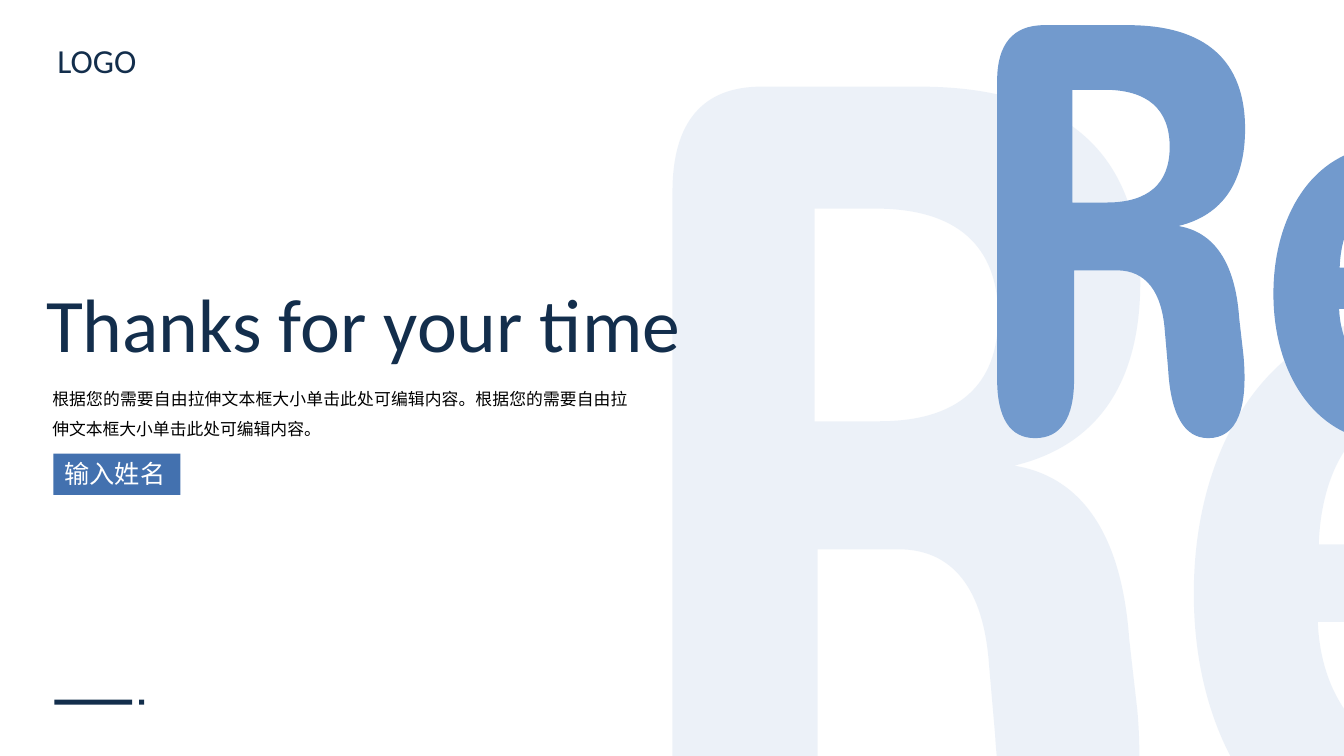
from dataclasses import dataclass

from lxml import etree
from pptx import Presentation
from pptx.dml.color import RGBColor
from pptx.enum.shapes import MSO_SHAPE as Shape
from pptx.enum.text import MSO_AUTO_SIZE as AutoSize, PP_ALIGN as Align
from pptx.oxml.ns import qn
from pptx.util import Inches, Pt


@dataclass(frozen=True)
class Theme:
    font: str = "Calibri"
    navy: str = "132E4C"
    blue: str = "4371AF"
    sky: str = "729ACD"
    black: str = "000000"
    white: str = "FFFFFF"
    title: int = 54
    logo: int = 24
    name: int = 18
    body: int = 12


@dataclass(frozen=True)
class Glyph:
    """Contours of points (x, y) and bends (corner x, corner y, end x, end y).

    pull is how far a bend reaches towards its corner, from 0 to 1.
    offset is the place of the glyph within the word.
    """
    contours: list
    pull: float
    offset: tuple = (0, 0)


def letter_r():
    top, base, left, right = 0, 7.73, 0, 4.64
    stem, stem_mid, stem_end = 1.44, 0.71, 6.63
    bowl_mid, waist, waist_y = 1.94, 3.39, 3.76
    armpit, foot_mid = 4.59, 3.95
    outer = [
        (0.88, top), (2.45, top),
        (right, top, right, bowl_mid),
        (right, 3.46, waist, waist_y),
        (4.42, 3.93, 4.53, 5.48),
        (4.61, 6.18),
        (4.75, base, foot_mid, base),
        (3.27, base, 3.2, 6.43),
        (3.14, 5.74),
        (3.06, armpit, 2.24, armpit),
        (stem, armpit), (stem, stem_end),
        (stem, base, stem_mid, base),
        (left, base, left, stem_end),
        (left, 1.04),
        (left, top, 0.88, top),
    ]
    in_left, in_right, in_top, in_base = 1.41, 3.23, 1.21, 3.32
    counter = [
        (in_left, in_top), (in_left, in_base), (2.05, in_base),
        (in_right, in_base, in_right, 2.28),
        (in_right, in_top, 2.01, in_top),
    ]
    return Glyph([outer, counter], pull=0.66)


def letter_e():
    top, base, left, right = 0, 5.51, 0, 3.89
    middle, bar_base, mouth = 2.06, 3.03, 4.33
    outer = [
        (middle, top),
        (right, top, right, 2.59),
        (right, bar_base, 3.5, bar_base),
        (1.23, bar_base),
        (1.28, mouth, 2.26, mouth),
        (2.8, mouth, 3.24, 3.82),
        (3.6, 3.65, 3.79, 4.21),
        (3.85, 4.55, 3.71, 4.7),
        (3, base, 2.11, base),
        (left, base, left, 2.75),
        (left, top, middle, top),
    ]
    eye_top, bar_top, eye_right = 0.98, 2.26, 2.85
    eye = [
        (middle, eye_top),
        (1.28, eye_top, 1.24, bar_top),
        (eye_right, bar_top),
        (eye_right, eye_top, middle, eye_top),
    ]
    return Glyph([outer, eye], pull=0.58, offset=(5.17, 2.28))


def toward(start, corner, pull):
    return tuple(a + (b - a) * pull for a, b in zip(start, corner))


class SlideBuilder:
    def __init__(self, slide, theme):
        self.slide, self.theme = slide, theme

    def paint(self, sp, color, alpha=None):
        sp.shadow.inherit = False
        sp.fill.solid()
        sp.fill.fore_color.rgb = RGBColor.from_string(color)
        sp.line.fill.background()
        if alpha is not None:
            clr = sp._element.spPr.find(f".//{qn('a:srgbClr')}")
            etree.SubElement(clr, qn("a:alpha")).set("val", str(alpha * 1000))

    def rect(self, x, y, w, h, color):
        sp = self.slide.shapes.add_shape(
            Shape.RECTANGLE, Inches(x), Inches(y), Inches(w), Inches(h))
        self.paint(sp, color)

    def text(self, x, y, w, h, text, size, color, align=None, spacing=None):
        box = self.slide.shapes.add_textbox(Inches(x), Inches(y), Inches(w), Inches(h))
        tf = box.text_frame
        tf.word_wrap = True
        tf.auto_size = AutoSize.SHAPE_TO_FIT_TEXT
        p = tf.paragraphs[0]
        p.alignment, p.line_spacing = align, spacing
        r = p.add_run()
        r.text = text
        r.font.name, r.font.size = self.theme.font, Pt(size)
        r.font.color.rgb = RGBColor.from_string(color)

    def glyph(self, glyph, x, y, scale, color, alpha=None):
        """Draw a glyph of the word whose top left corner is at x, y."""
        dx, dy = glyph.offset

        def place(point):
            return (Inches(x + (point[0] + dx) * scale),
                    Inches(y + (point[1] + dy) * scale))

        builder = self.slide.shapes.build_freeform(*place(glyph.contours[0][0]))
        for i, (start, *segments) in enumerate(glyph.contours):
            if i:
                builder.move_to(*place(start))
            pen = start
            points = []
            for segment in segments:
                corner, end = segment[:2], segment[-2:]
                if len(segment) == 4:
                    points += [toward(pen, corner, glyph.pull),
                               toward(end, corner, glyph.pull)]
                points.append(end)
                pen = end
            builder.add_line_segments([place(point) for point in points])
        sp = builder.convert_to_shape()
        self.bend(sp, [s for c in glyph.contours for s in c[1:]])
        self.paint(sp, color, alpha)

    def bend(self, sp, segments):
        """Turn the three lines that stand for each bend into one Bezier."""
        lines = iter(list(sp._element.iter(qn("a:lnTo"))))
        for segment in segments:
            first = next(lines)
            if len(segment) == 4:
                first.tag = qn("a:cubicBezTo")
                for line in (next(lines), next(lines)):
                    first.append(line[0])
                    line.getparent().remove(line)


def main():
    prs = Presentation()
    prs.slide_width, prs.slide_height = Inches(13.33), Inches(7.5)
    t = Theme()
    s = SlideBuilder(prs.slides.add_slide(prs.slide_layouts[6]), t)

    word = (letter_r(), letter_e())
    for x, y, scale, alpha in ((6.67, 0.86, 1, 13), (9.89, 0.25, 0.53, None)):
        for glyph in word:
            s.glyph(glyph, x, y, scale, t.sky, alpha)

    s.text(0.36, 2.7, 8.17, 1.01, "Thanks for your time", t.title, t.navy)
    s.text(0.42, 3.71, 5.91, 0.67, "根据您的需要自由拉伸文本框大小单击此处可编辑内容。" * 2,
           t.body, t.black, Align.JUSTIFY, 1.5)
    s.rect(0.53, 4.5, 1.26, 0.41, t.blue)
    s.text(0.54, 4.5, 1.32, 0.4, "输入姓名", t.name, t.white)
    s.text(0.47, 0.35, 1.46, 0.5, "LOGO", t.logo, t.navy)
    for x, w in ((0.54, 0.77), (1.38, 0.05)):
        s.rect(x, 6.94, w, 0.05, t.navy)

    prs.save("out.pptx")


if __name__ == "__main__":
    main()
